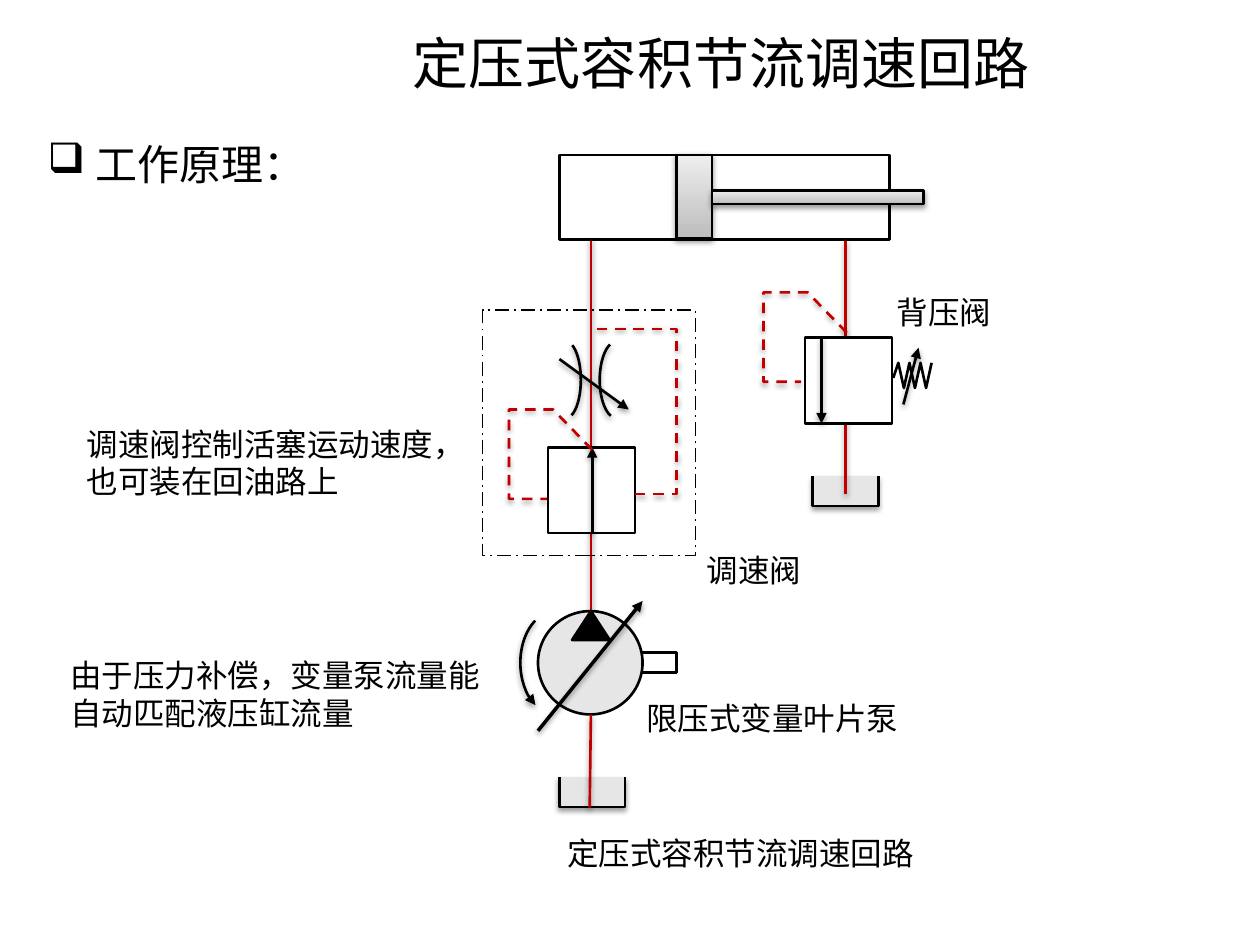
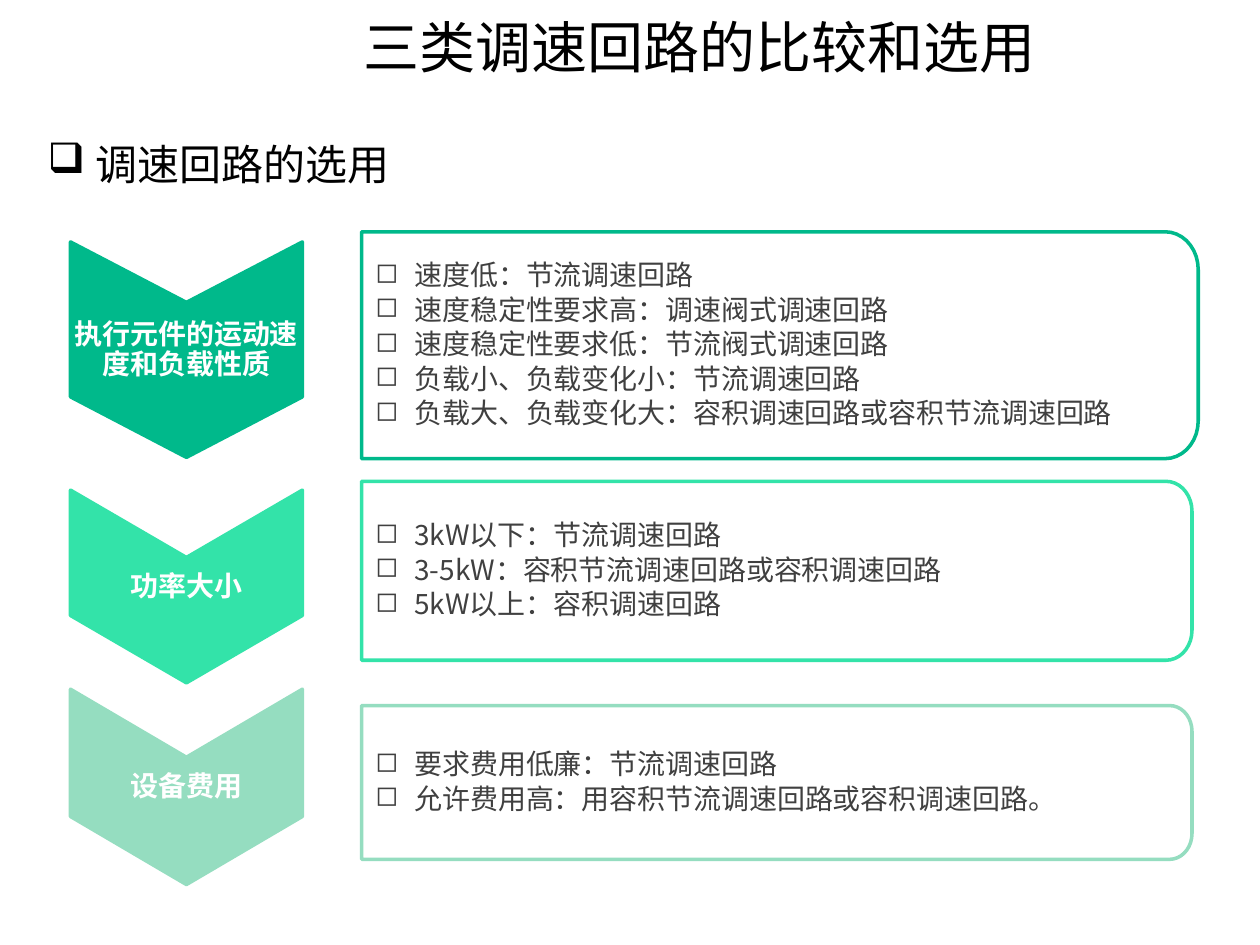
import math
from dataclasses import dataclass

import pptx
import pptx.dml.color
import pptx.enum.dml
import pptx.enum.shapes
import pptx.enum.text
import pptx.oxml.ns
import pptx.util
from lxml import etree

PRESET = pptx.enum.shapes.MSO_SHAPE
DASH = pptx.enum.dml.MSO_LINE
ALIGN = pptx.enum.text.PP_ALIGN
ANCHOR = pptx.enum.text.MSO_ANCHOR
qn = pptx.oxml.ns.qn


@dataclass(frozen=True)
class Theme:
    font: str = "Noto Sans CJK SC"
    black: str = "000000"
    white: str = "FFFFFF"
    oil: str = "C00000"
    tank: str = "E6E6E6"
    steel: tuple = ("BDBDBD", "EEEEEE")
    body: str = "404040"
    steps: tuple = ("00B98B", "33E3A9", "95DDC0")
    title: int = 32
    heading: int = 24
    label: int = 18
    item: int = 16


theme = Theme()
rgb = pptx.dml.color.RGBColor.from_string
CELL = pptx.util.Inches(0.1)  # the slide is a grid of 100 columns by 75 rows
TITLE_SIZE = (70.9, 6.8)


def draw(page, kind, where, fill=None, line=theme.black, width=1.5, dash=None,
         head=False, tail=False, shadow=False):
    """Draw a "line" or "path" through points, or a preset shape in a box, in grid cells."""
    if kind in ("line", "path"):
        points = [(round(CELL * x), round(CELL * y)) for x, y in where]
    if kind == "line":
        straight = pptx.enum.shapes.MSO_CONNECTOR.STRAIGHT
        shape = page.shapes.add_connector(straight, *points[0], *points[1])
    elif kind == "path":
        builder = page.shapes.build_freeform(*points[0], scale=1.0)
        builder.add_line_segments(points[1:], close=points[0] == points[-1])
        shape = builder.convert_to_shape()
    else:
        shape = page.shapes.add_shape(kind, *(round(CELL * v) for v in where))

    if kind != "line":
        if fill is None:
            shape.fill.background()
        elif isinstance(fill, tuple):
            shape.fill.gradient()
            shape.fill.gradient_angle = 90
            for stop, color in zip(shape.fill.gradient_stops, fill):
                stop.color.rgb = rgb(color)
        else:
            shape.fill.solid()
            shape.fill.fore_color.rgb = rgb(fill)
    shape.line.color.rgb = rgb(line)
    shape.line.width = pptx.util.Pt(width)
    if dash:
        shape.line.dash_style = dash
    properties = shape._element.spPr
    for wanted, end in ((head, "a:headEnd"), (tail, "a:tailEnd")):
        if wanted:
            etree.SubElement(properties.get_or_add_ln(), qn(end), type="triangle")

    if kind == "line":
        effects = etree.SubElement(properties, qn("a:effectLst"))
    else:
        shape.shadow.inherit = False
        effects = properties.find(qn("a:effectLst"))
    if shadow:
        outer = etree.SubElement(effects, qn("a:outerShdw"), blurRad="39370",
                                 dist="20320", dir="5400000", rotWithShape="0")
        shade = etree.SubElement(outer, qn("a:srgbClr"), val=theme.black)
        etree.SubElement(shade, qn("a:alpha"), val="38000")
    return shape


def write(page, text, box=None, shape=None, size=theme.label, color=theme.black,
          bold=False, align=ALIGN.LEFT, anchor=ANCHOR.TOP, leading=1.2, after=0,
          bullet=None, indent=0, margins=(1, 0.5, 1, 0.5)):
    """Write one paragraph per line of text, in a new box or in a given shape."""
    if shape is None:
        shape = page.shapes.add_textbox(*(round(CELL * v) for v in box))
    frame = shape.text_frame
    frame.word_wrap = True
    frame.vertical_anchor = anchor
    frame.margin_left, frame.margin_top, frame.margin_right, frame.margin_bottom = (
        round(CELL * v) for v in margins)
    for number, content in enumerate(text.split("\n")):
        paragraph = frame.add_paragraph() if number else frame.paragraphs[0]
        paragraph.alignment = align
        paragraph.line_spacing = pptx.util.Pt(size * leading)
        paragraph.space_after = pptx.util.Pt(after)
        if bullet:
            settings = paragraph._p.get_or_add_pPr()
            settings.set("marL", str(round(CELL * indent)))
            settings.set("indent", str(-round(CELL * indent)))
            etree.SubElement(settings, qn("a:buChar"), char=bullet)
        run = paragraph.add_run()
        run.text = content
        run.font.size = pptx.util.Pt(size)
        run.font.bold = bold
        run.font.color.rgb = rgb(color)
        run.font.name = theme.font
        etree.SubElement(run._r.get_or_add_rPr(), qn("a:ea"), typeface=theme.font)


deck = pptx.Presentation()
deck.slide_width, deck.slide_height = CELL * 100, CELL * 75
blank = deck.slide_layouts[6]
circuit, selection = (deck.slides.add_slide(blank) for _ in range(2))

# Titles and headings of both slides
for page, title, left, leading, heading in (
        (circuit, "定压式容积节流调速回路", 21.8, 1.88, "工作原理："),
        (selection, "三类调速回路的比较和选用", 20.1, 1.32, "调速回路的选用")):
    write(page, title, (left, 0, *TITLE_SIZE), size=theme.title,
          align=ALIGN.CENTER, anchor=ANCHOR.MIDDLE, leading=leading)
    write(page, heading, (2.8, 8.4, 40, 7.6), size=theme.heading, leading=1.83,
          bullet="❑", indent=3.8)

# Slide 1: pump, throttle and cylinder, from back to front
supply = 46.9
back = 67.1
draw(circuit, PRESET.RECTANGLE, (53.7, 12.3, 2.8, 6.6), fill=theme.steel, shadow=True)
draw(circuit, "line", [(supply, 48.5), (supply, 18.9)], line=theme.oil, shadow=True)
draw(circuit, PRESET.RECTANGLE, (50.3, 51.8, 3.4, 1.6), fill=theme.white)
draw(circuit, PRESET.OVAL, (42.7, 48.5, 8.3, 8.2), fill=theme.tank)
draw(circuit, PRESET.ISOSCELES_TRIANGLE, (45.4, 48.5, 3, 2.3), fill=theme.black)
rotation = draw(circuit, PRESET.ARC, (41.3, 48.5, 5.6, 8.2), head=True, shadow=True)
rotation.adjustments[0], rotation.adjustments[1] = 69.24, 146.48

for left, top, pipe in ((44.4, 61.7, [(46.8, 64.1), (supply, 56.7)]),
                        (64.5, 37.8, [(back, 39.2), (back, 19.1)])):
    right, bottom = left + 5.2, top + 2.35
    draw(circuit, "path", [(left, top), (left, bottom), (right, bottom), (right, top)],
         fill=theme.tank, shadow=True)
    draw(circuit, "line", pipe, line=theme.oil, shadow=True)

for left, width, mirrored in ((43.7, 2.4, False), (47.6, 2.7, True)):
    throat = draw(circuit, PRESET.ARC, (left, 27.1, width, 6.1), shadow=True)
    throat.adjustments[0], throat.adjustments[1] = 168.43, 48.37
    if mirrored:
        throat._element.spPr.find(qn("a:xfrm")).set("flipH", "1")
draw(circuit, "line", [(44.4, 28.5), (49.9, 32.5)], tail=True, shadow=True)
draw(circuit, PRESET.RECTANGLE, (44.4, 12.3, 26.2, 6.7))
draw(circuit, PRESET.RECTANGLE, (56.5, 15.1, 16.8, 1.1), fill=theme.steel, shadow=True)
draw(circuit, "line", [(71.7, 32.1), (72.9, 27.6)], tail=True, shadow=True)

# Two valves: body, flow arrow and dashed pilot line
for left, top, arrow, pilot in (
        (63.9, 26.8, [(65.2, 26.7), (65.2, 33.6)], (67.2, 26.4)),
        (43.5, 35.5, [(47, 42.3), (47, 35.5)], (47, 35.7))):
    draw(circuit, PRESET.RECTANGLE, (left, top, 6.9, 6.8), fill=theme.white)
    draw(circuit, "line", arrow, tail=True, shadow=True)
    x, y = pilot
    draw(circuit, "path", [(x, y), (x - 3.1, y - 3.2), (x - 6.6, y - 3.2),
                           (x - 6.6, y + 3.9), (x - 3.6, y + 3.9)],
         line=theme.oil, dash=DASH.DASH, shadow=True)

spring = [(70.9, 30)] + [(71.3 + 0.44 * i, 30.8 if i % 2 else 28.8) for i in range(7)]
draw(circuit, "path", spring)
draw(circuit, "path", [(50.4, 39.2), (53.7, 39.2), (53.7, 26.1), (47, 26.1)],
     line=theme.oil, dash=DASH.DASH, shadow=True)
draw(circuit, PRESET.RECTANGLE, (38.3, 24.6, 16.9, 19.5), width=1,
     dash=DASH.LONG_DASH_DOT)
draw(circuit, "line", [(42.7, 58), (51, 47.7)], width=2, tail=True, shadow=True)

for label, box, align in (
        ("定压式容积节流调速回路", (32.3, 65.7, 52.9, 5.8), ALIGN.CENTER),
        ("背压阀", (70.2, 22.8, 10.7, 4.5), ALIGN.LEFT),
        ("限压式变量叶片泵", (50.3, 55, 24.8, 4.5), ALIGN.LEFT),
        ("调速阀", (55.1, 43.2, 10.7, 4.5), ALIGN.LEFT),
        ("调速阀控制活塞运动速度，也可装在回油路上", (5.9, 33.2, 31.2, 7.1), ALIGN.LEFT),
        ("由于压力补偿，变量泵流量能自动匹配液压缸流量", (4.6, 51.6, 35.1, 7.3), ALIGN.LEFT)):
    write(circuit, label, box, align=align)

# Slide 2: a chevron and a card for each criterion
criteria = (
    ("执行元件的运动速度和负载性质", (19.2, 17.1, 4.8), (18.4, 66.4, 18),
     "速度低：节流调速回路\n速度稳定性要求高：调速阀式调速回路\n"
     "速度稳定性要求低：节流阀式调速回路\n负载小、负载变化小：节流调速回路\n"
     "负载大、负载变化大：容积调速回路或容积节流调速回路"),
    ("功率大小", (38.9, 15.3, 5.35), (38.2, 65.9, 14.2),
     "3kW以下：节流调速回路\n3-5kW：容积节流调速回路或容积调速回路\n"
     "5kW以上：容积调速回路"),
    ("设备费用", (54.7, 15.5, 5.4), (56, 65.9, 12.2),
     "要求费用低廉：节流调速回路\n允许费用高：用容积节流调速回路或容积调速回路。"),
)
chevron_left, chevron_width, card_left = 5.6, 18.4, 28.7
for color, (criterion, chevron_box, card_box, choices) in zip(theme.steps, criteria):
    top, height, notch = chevron_box
    middle, right = chevron_left + chevron_width / 2, chevron_left + chevron_width
    shoulder, tip = top + height - notch, top + height
    chevron = draw(selection, "path", [
        (right, top), (right, shoulder), (middle, tip), (chevron_left, shoulder),
        (chevron_left, top), (middle, top + notch), (right, top)],
        fill=color, line=color, width=2)
    write(selection, criterion, shape=chevron, size=theme.item, color=theme.white,
          bold=True, align=ALIGN.CENTER, anchor=ANCHOR.MIDDLE, leading=1.08,
          margins=(0.1, 0, 0.1, 0))

    top, width, height = card_box
    right, bottom = card_left + width, top + height
    across, down = height * 0.145, height * 0.167
    turns = [math.radians(10 * i) for i in range(10)]
    upper = [(right - across * (1 - math.sin(t)), top + down * (1 - math.cos(t)))
             for t in turns]
    lower = [(x, top + bottom - y) for x, y in reversed(upper)]
    card = draw(selection, "path", [(card_left, top), *upper, *lower,
                                    (card_left, bottom), (card_left, top)],
                fill=theme.white, line=color, width=2)
    write(selection, choices, shape=card, size=theme.item, color=theme.body,
          anchor=ANCHOR.MIDDLE, leading=1.08, after=2.4, bullet="◻", indent=3.1,
          margins=(1.1, 0.8, 0.8, 0.8))

deck.save("out.pptx")
